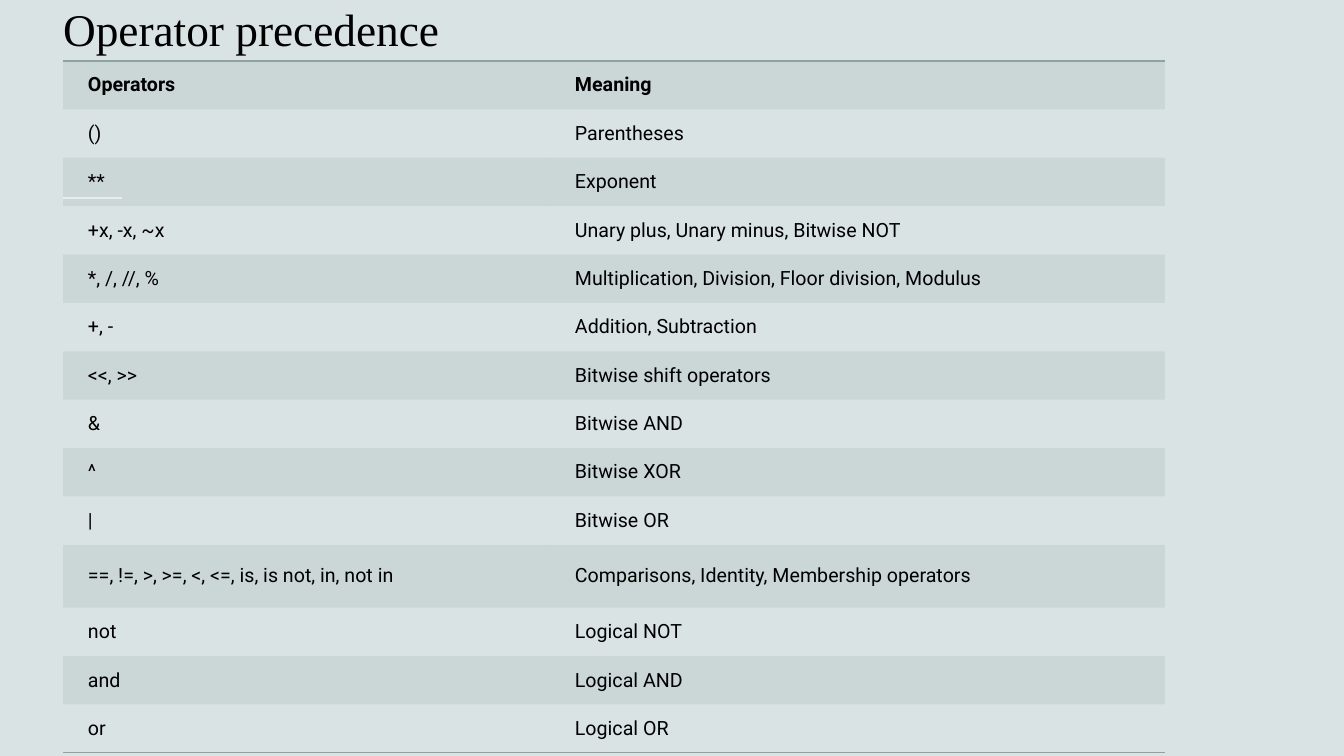
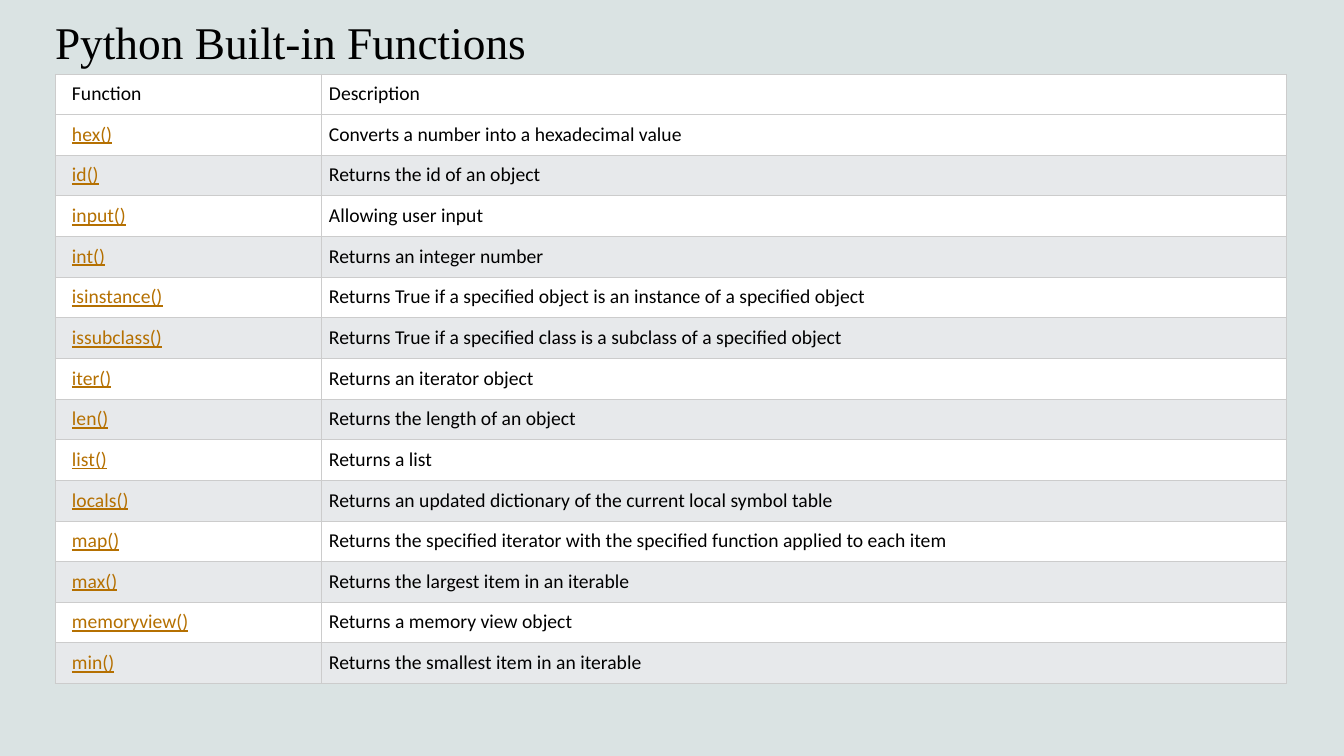
"""Builds two slides of Python reference tables."""
import pptx
import pptx.dml.color
import pptx.enum.shapes
import pptx.enum.text
import pptx.oxml
import pptx.oxml.ns
import pptx.util

PX = 914400 / 100.8
WIDTH, HEIGHT = 1344, 756
COLOURS = {
    "background": "DAE3E3", "text": "000000", "sage": "8FA3A3", "white": "FFFFFF",
    "grey": "E7E9EB", "grid": "CCCCCC", "link": "B57001",
}
NO_STYLE = "{2D5ABB26-0587-4C30-8999-92F81FD0307C}"
TITLE_FORMAT = {"name": "Times New Roman", "size": pptx.util.Pt(32.4)}

PRECEDENCE = [
    ("Operators", "Meaning"),
    ("()", "Parentheses"),
    ("**", "Exponent"),
    ("+x, -x, ~x", "Unary plus, Unary minus, Bitwise NOT"),
    ("*, /, //, %", "Multiplication, Division, Floor division, Modulus"),
    ("+, -", "Addition, Subtraction"),
    ("<<, >>", "Bitwise shift operators"),
    ("&", "Bitwise AND"),
    ("^", "Bitwise XOR"),
    ("|", "Bitwise OR"),
    ("==, !=, >, >=, <, <=, is, is not, in, not in",
     "Comparisons, Identity, Membership operators"),
    ("not", "Logical NOT"),
    ("and", "Logical AND"),
    ("or", "Logical OR"),
]
FUNCTIONS = [
    ("Function", "Description"),
    ("hex()", "Converts a number into a hexadecimal value"),
    ("id()", "Returns the id of an object"),
    ("input()", "Allowing user input"),
    ("int()", "Returns an integer number"),
    ("isinstance()", "Returns True if a specified object is an instance of a specified object"),
    ("issubclass()", "Returns True if a specified class is a subclass of a specified object"),
    ("iter()", "Returns an iterator object"),
    ("len()", "Returns the length of an object"),
    ("list()", "Returns a list"),
    ("locals()", "Returns an updated dictionary of the current local symbol table"),
    ("map()", "Returns the specified iterator with the specified function applied to each item"),
    ("max()", "Returns the largest item in an iterable"),
    ("memoryview()", "Returns a memory view object"),
    ("min()", "Returns the smallest item in an iterable"),
]
TALL_ROW, TALL_HEIGHT = 10, 63


def px(length):
    return pptx.util.Emu(round(length * PX))


def rgb(name):
    return pptx.dml.color.RGBColor.from_string(COLOURS[name])


def set_values(target, values):
    for name, value in values.items():
        setattr(target, name, value)


def write(text_frame, text, values, colour="text"):
    run = text_frame.paragraphs[0].add_run()
    run.text = text
    set_values(run.font, values)
    run.font.color.rgb = rgb(colour)


def add_title(slide, text, left, top, height):
    frame = slide.shapes.add_textbox(px(left), px(top), px(1224), px(height)).text_frame
    set_values(frame, {
        "word_wrap": True, "vertical_anchor": pptx.enum.text.MSO_ANCHOR.BOTTOM,
        "margin_left": 0, "margin_right": px(10), "margin_top": px(5), "margin_bottom": px(5),
    })
    write(frame, text, TITLE_FORMAT)


def add_table(slide, rows, left, top, columns, heights):
    table = slide.shapes.add_table(len(rows), len(columns), px(left), px(top),
                                   px(sum(columns)), px(sum(heights))).table
    set_values(table, {"first_row": False, "horz_banding": False})
    table._tbl.tblPr.find(pptx.oxml.ns.qn("a:tableStyleId")).text = NO_STYLE
    for column, width in zip(table.columns, columns):
        column.width = px(width)
    for row, height in zip(table.rows, heights):
        row.height = px(height)
    return table


def format_cell(cell, margins, anchor):
    sides = ("margin_left", "margin_top", "margin_right", "margin_bottom")
    set_values(cell, dict(zip(sides, map(px, margins))))
    cell.vertical_anchor = anchor


def add_borders(cell, sides, colour, points):
    for side in sides:
        cell._tc.get_or_add_tcPr().append(pptx.oxml.parse_xml(
            f'<a:ln{side} {pptx.oxml.ns.nsdecls("a")} w="{pptx.util.Pt(points)}"><a:solidFill>'
            f'<a:srgbClr val="{COLOURS[colour]}"/></a:solidFill></a:ln{side}>'))


def fill_cell(cell, colour, opacity=100):
    cell.fill.solid()
    cell.fill.fore_color.rgb = rgb(colour)
    if opacity < 100:
        for element in cell._tc.tcPr.findall("a:solidFill/a:srgbClr", pptx.oxml.ns._nsmap):
            element.append(pptx.oxml.parse_xml(
                f'<a:alpha {pptx.oxml.ns.nsdecls("a")} val="{opacity * 1000}"/>'))


def add_rule(slide):
    rule = slide.shapes.add_connector(pptx.enum.shapes.MSO_CONNECTOR.STRAIGHT,
                                      px(63), px(198), px(122), px(198))
    rule.line.color.rgb = rgb("white")
    rule.line.width = pptx.util.Pt(1)
    rule._element.spPr.append(pptx.oxml.parse_xml(
        f'<a:effectLst {pptx.oxml.ns.nsdecls("a")}/>'))


def build_precedence(slide):
    add_title(slide, "Operator precedence", 63, 0, 61)
    last = len(PRECEDENCE) - 1
    heights = [(692 - TALL_HEIGHT) / last] * len(PRECEDENCE)
    heights[TALL_ROW] = TALL_HEIGHT
    table = add_table(slide, PRECEDENCE, 63, 61, (487, 615), heights)
    for index, texts in enumerate(PRECEDENCE):
        for column, text in enumerate(texts):
            cell = table.cell(index, column)
            format_cell(cell, (25, 12, 25, 12), pptx.enum.text.MSO_ANCHOR.MIDDLE)
            add_borders(cell, {0: "T", last: "B"}.get(index, ""), "sage", 1)
            if index % 2 == 0:
                fill_cell(cell, "sage", 20)
            else:
                cell.fill.background()
            write(cell.text_frame, text,
                  {"name": "Roboto", "size": pptx.util.Pt(14), "bold": index == 0})


def build_functions(slide):
    add_title(slide, "Python Built-in Functions", 55, 16, 58)
    count = len(FUNCTIONS)
    table = add_table(slide, FUNCTIONS, 55, 74, (266, 966), [610 / count] * count)
    for index, texts in enumerate(FUNCTIONS):
        for column, text in enumerate(texts):
            cell = table.cell(index, column)
            linked = index > 0 and column == 0
            format_cell(cell, (8 if column else 17, 8, 8, 8), pptx.enum.text.MSO_ANCHOR.TOP)
            add_borders(cell, "LRTB", "grid", 0.75)
            fill_cell(cell, "grey" if index and index % 2 == 0 else "white")
            write(cell.text_frame, text,
                  {"name": "Calibri", "size": pptx.util.Pt(14), "underline": linked},
                  "link" if linked else "text")


def main():
    presentation = pptx.Presentation()
    set_values(presentation, {"slide_width": px(WIDTH), "slide_height": px(HEIGHT)})
    background = presentation.slide_master.background.fill
    background.solid()
    background.fore_color.rgb = rgb("background")
    for build in (build_precedence, build_functions):
        slide = presentation.slides.add_slide(presentation.slide_layouts[6])
        add_rule(slide)
        build(slide)
    presentation.save("out.pptx")


if __name__ == "__main__":
    main()
